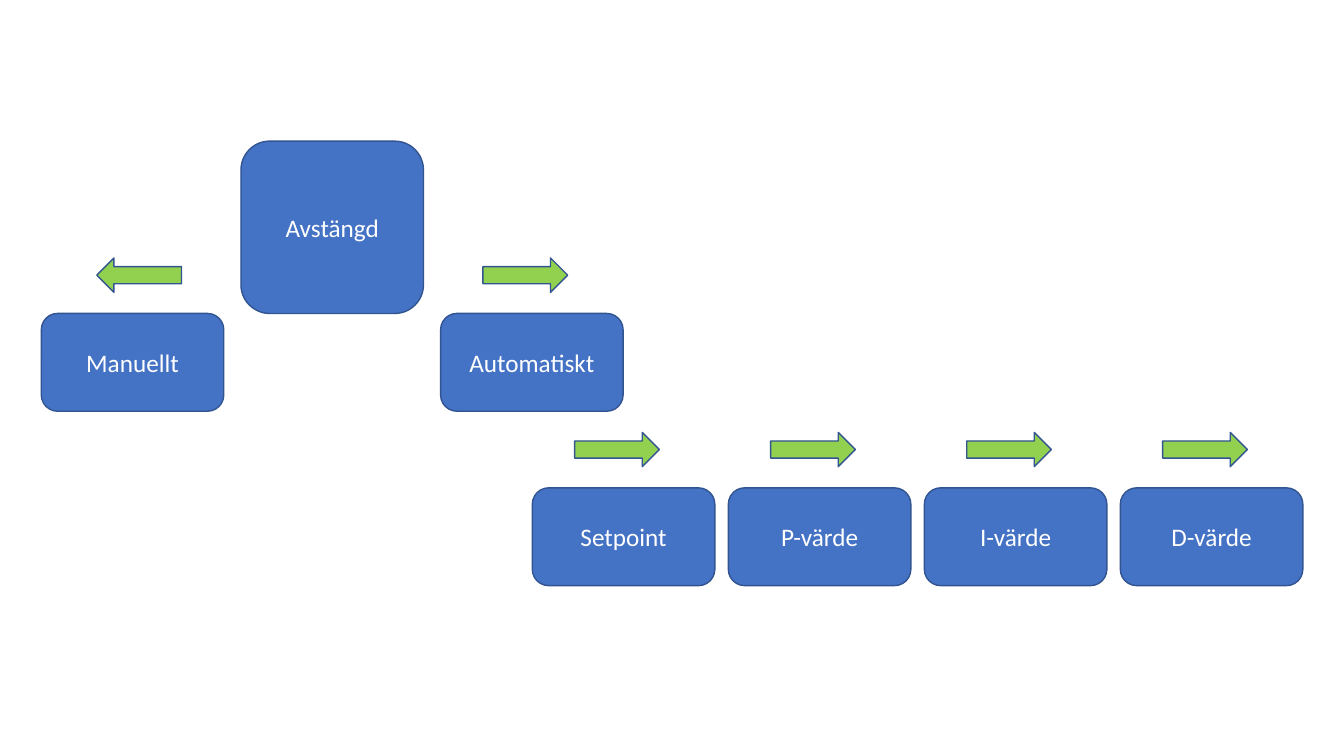
from dataclasses import dataclass

from pptx import Presentation
from pptx import util as u
from pptx.dml.color import RGBColor
from pptx.enum import shapes, text


@dataclass(frozen=True)
class Theme:
    state: RGBColor = RGBColor(0x44, 0x72, 0xC4)
    arrow: RGBColor = RGBColor(0x92, 0xD0, 0x50)
    outline: RGBColor = RGBColor(0x32, 0x54, 0x91)
    label: RGBColor = RGBColor(0xFF, 0xFF, 0xFF)
    font: str = "Calibri"
    label_size: u.Pt = u.Pt(18)
    outline_width: u.Pt = u.Pt(1)


THEME = Theme()

# Layout in inches
STATE_WIDTH, STATE_HEIGHT = 1.81, 0.97
OFF_HEIGHT = 1.71
ARROW_WIDTH, ARROW_HEIGHT = 0.84, 0.34
ARROW_INDENT = 0.42
ARROW_RISE = 0.55
MODE_LEFT, MODE_TOP, MODE_STEP = 0.41, 3.11, 1.98
SETTING_LEFT, SETTING_TOP, SETTING_STEP = 5.28, 4.84, 1.944
SETTINGS = ["Setpoint", "P-värde", "I-värde", "D-värde"]


def apply_format(target, values):
    for name, value in values.items():
        setattr(target, name, value)


def add_block(slide, kind, left, top, width, height, fill):
    """Add an outlined preset shape with a flat fill."""
    block = slide.shapes.add_shape(kind, *map(u.Inches, (left, top, width, height)))
    block.shadow.inherit = False
    block.fill.solid()
    block.fill.fore_color.rgb = fill
    block.line.color.rgb = THEME.outline
    block.line.width = THEME.outline_width
    return block


def add_state(slide, label, left, top, height=STATE_HEIGHT):
    """Add a rounded box with a centred label."""
    state = add_block(slide, shapes.MSO_SHAPE.ROUNDED_RECTANGLE,
                      left, top, STATE_WIDTH, height, THEME.state)
    frame = state.text_frame
    apply_format(frame, {"word_wrap": True, "vertical_anchor": text.MSO_ANCHOR.MIDDLE})
    paragraph = frame.paragraphs[0]
    paragraph.alignment = text.PP_ALIGN.CENTER
    run = paragraph.add_run()
    run.text = label
    apply_format(run.font, {"name": THEME.font, "size": THEME.label_size})
    run.font.color.rgb = THEME.label


def add_arrow(slide, left, state_top, rotation=0):
    """Add a step arrow above the state whose top is given."""
    arrow = add_block(slide, shapes.MSO_SHAPE.RIGHT_ARROW, left, state_top - ARROW_RISE,
                      ARROW_WIDTH, ARROW_HEIGHT, THEME.arrow)
    arrow.rotation = rotation


def main():
    deck = Presentation()
    apply_format(deck, {"slide_width": u.Inches(13.33), "slide_height": u.Inches(7.5)})
    slide = deck.slides.add_slide(deck.slide_layouts[6])

    # Operating modes on either side of the off state
    off_left = MODE_LEFT + MODE_STEP
    automatic_left = off_left + MODE_STEP
    add_state(slide, "Manuellt", MODE_LEFT, MODE_TOP)
    add_state(slide, "Avstängd", off_left, MODE_TOP - OFF_HEIGHT, OFF_HEIGHT)
    add_state(slide, "Automatiskt", automatic_left, MODE_TOP)
    manual_arrow_left = MODE_LEFT + STATE_WIDTH - ARROW_INDENT - ARROW_WIDTH
    add_arrow(slide, manual_arrow_left, MODE_TOP, rotation=180)
    add_arrow(slide, automatic_left + ARROW_INDENT, MODE_TOP)

    # Controller settings reached from automatic mode
    for index, setting in enumerate(SETTINGS):
        setting_left = SETTING_LEFT + index * SETTING_STEP
        add_state(slide, setting, setting_left, SETTING_TOP)
        add_arrow(slide, setting_left + ARROW_INDENT, SETTING_TOP)

    deck.save("out.pptx")


main()
